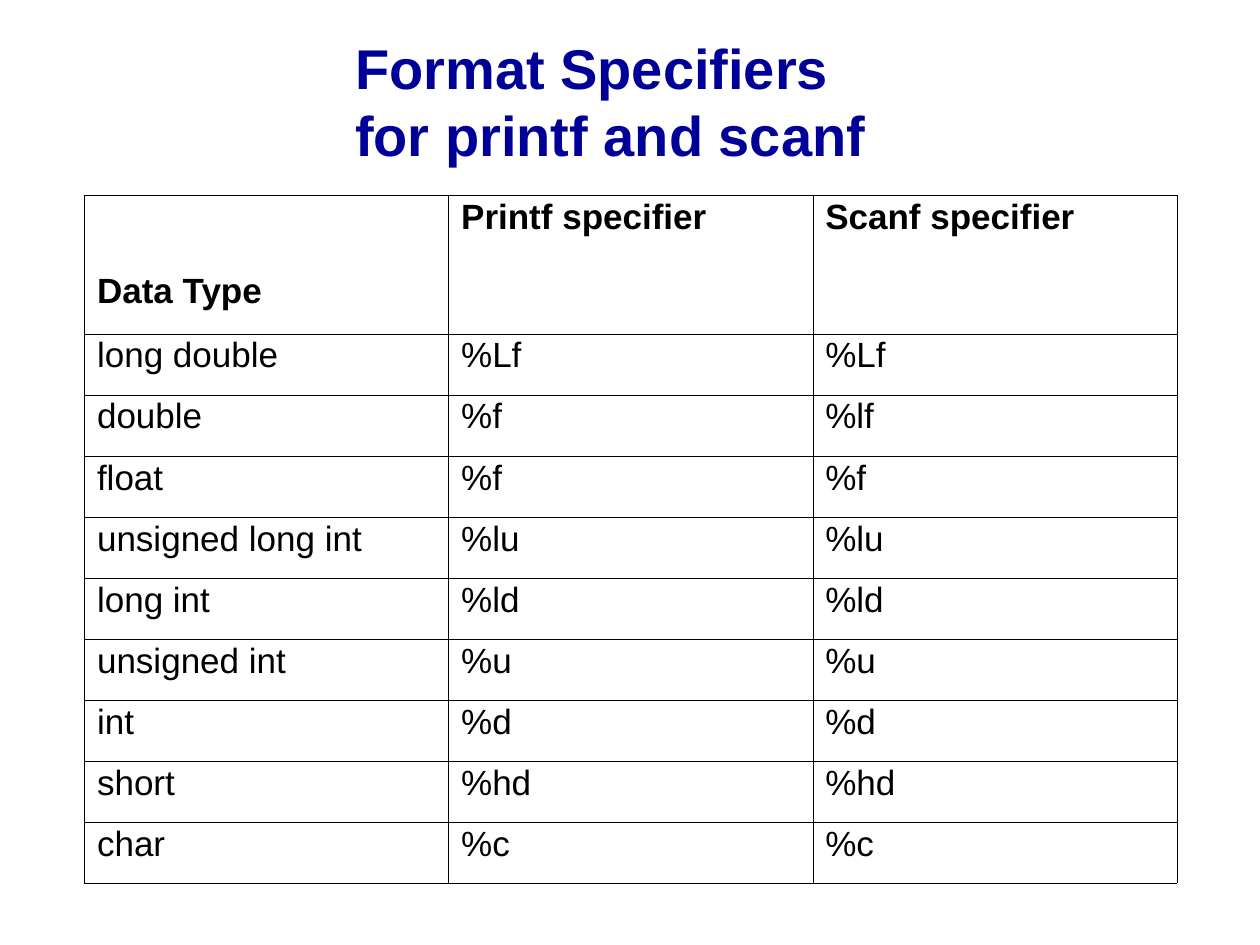
from pptx import Presentation
from pptx.dml.color import RGBColor
from pptx.enum.text import MSO_ANCHOR
from pptx.oxml.ns import qn
from pptx.util import Inches, Pt
from lxml import etree

MIDDLE = MSO_ANCHOR.MIDDLE
NAVY = RGBColor(0x00, 0x00, 0x99)
BLACK = RGBColor(0x00, 0x00, 0x00)
FONT = "Arial"

HEADINGS = ("Data Type", "Printf specifier", "Scanf specifier")
SPECIFIERS = (
    ("long double", "%Lf", "%Lf"),
    ("double", "%f", "%lf"),
    ("float", "%f", "%f"),
    ("unsigned long int", "%lu", "%lu"),
    ("long int", "%ld", "%ld"),
    ("unsigned int", "%u", "%u"),
    ("int", "%d", "%d"),
    ("short", "%hd", "%hd"),
    ("char", "%c", "%c"),
)


def style_font(font, size, color, bold):
    font.name = FONT
    font.size = Pt(size)
    font.bold = bold
    font.color.rgb = color


def set_borders(cell, color, width):
    properties = cell._tc.get_or_add_tcPr()
    for side in ("a:lnL", "a:lnR", "a:lnT", "a:lnB"):
        line = etree.SubElement(properties, qn(side), w=str(width))
        fill = etree.SubElement(line, qn("a:solidFill"))
        etree.SubElement(fill, qn("a:srgbClr"), val=str(color))


def add_title(slide, left, top, width, height):
    frame = slide.shapes.add_textbox(left, top, width, height).text_frame
    frame.word_wrap = True
    frame.vertical_anchor = MIDDLE
    paragraph = frame.paragraphs[0]
    paragraph.text = "Format Specifiers for printf and scanf"
    style_font(paragraph.font, 32, NAVY, True)


def add_specifier_table(slide, left, top, width, height):
    rows = (HEADINGS, *SPECIFIERS)
    shape = slide.shapes.add_table(len(rows), len(HEADINGS), left, top, width, height)
    table = shape.table
    table.first_row = False
    table.horz_banding = False

    # Tall heading row, the rest share the remaining height
    heading_height = Inches(1.1)
    table.rows[0].height = heading_height
    for row in list(table.rows)[1:]:
        row.height = (height - heading_height) // len(SPECIFIERS)

    for row_index, texts in enumerate(rows):
        for column_index, text in enumerate(texts):
            cell = table.cell(row_index, column_index)
            set_borders(cell, BLACK, Pt(0.11))
            cell.fill.background()
            paragraph = cell.text_frame.paragraphs[0]
            paragraph.text = text
            paragraph.line_spacing = 0.89
            style_font(paragraph.font, 20, BLACK, row_index == 0)

    # The first heading sits two lines lower than the others
    table.cell(0, 0).margin_top = Inches(0.64)


def main():
    presentation = Presentation()
    presentation.slide_width = Inches(10)
    presentation.slide_height = Inches(7.5)
    slide = presentation.slides.add_slide(presentation.slide_layouts[6])
    add_title(slide, Inches(2.72), Inches(0.13), Inches(4.49), Inches(1.34))
    add_specifier_table(slide, Inches(0.67), Inches(1.55), Inches(8.67), Inches(5.46))
    presentation.save("out.pptx")


if __name__ == "__main__":
    main()
